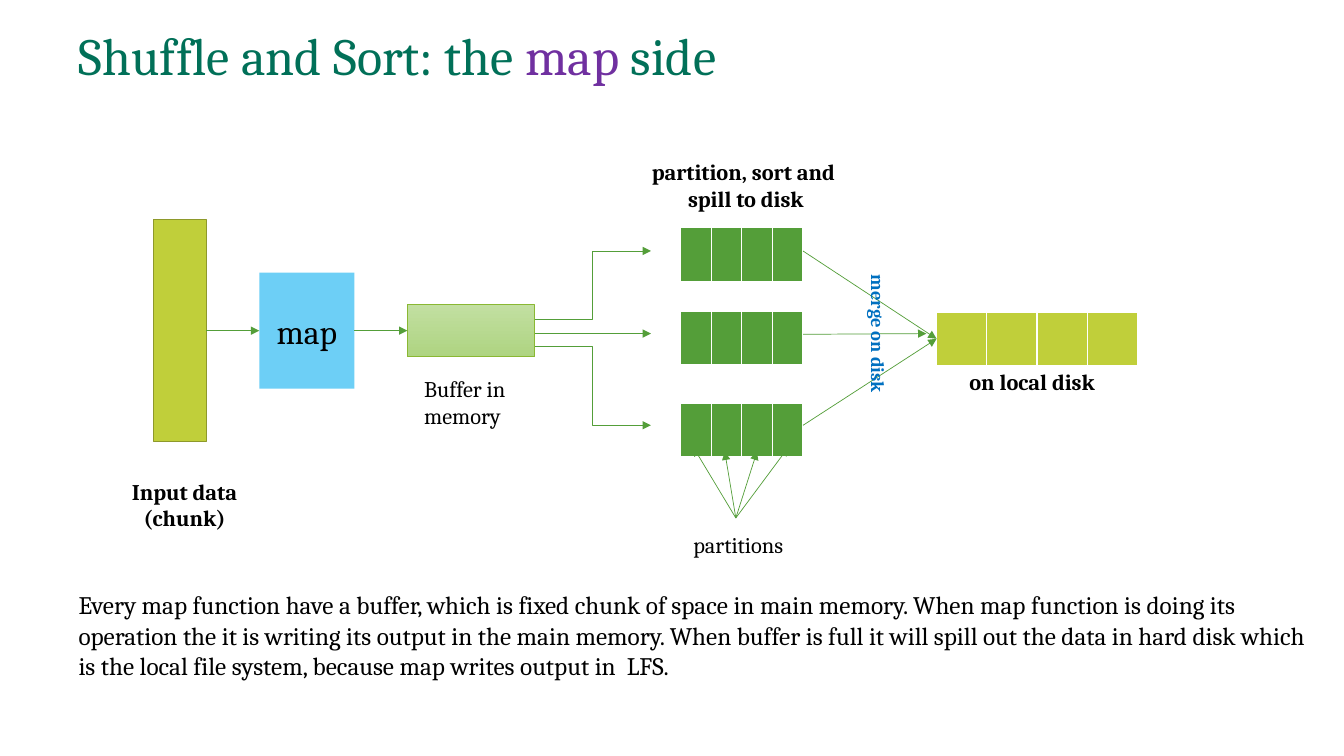
"""Build the slide that shows the map side of shuffle and sort."""
from dataclasses import dataclass

import lxml.etree
import pptx
import pptx.dml.color
import pptx.enum.shapes
import pptx.enum.text
import pptx.oxml.ns
import pptx.util

Pt = pptx.util.Pt
ALIGN = pptx.enum.text.PP_ALIGN
MIDDLE = pptx.enum.text.MSO_ANCHOR.MIDDLE
AUTO = pptx.enum.text.MSO_AUTO_SIZE
CONNECTOR = pptx.enum.shapes.MSO_CONNECTOR


@dataclass(frozen=True)
class Theme:
    """Colours, font and type sizes."""
    font: str = "Cambria"
    title: str = "017058"
    accent: str = "7030A0"
    ink: str = "000000"
    merge: str = "0070C0"
    green: str = "549E39"
    lime: str = "C0CF3A"
    lime_edge: str = "8E992B"
    sky: str = "6DCFF6"
    buffer_top: str = "C2DFA1"
    buffer_bottom: str = "AED481"
    buffer_edge: str = "8AB833"
    title_size: float = 37.3
    map_size: float = 24
    body_size: float = 18
    label_size: float = 16
    merge_size: float = 13.3


T = Theme()
SLIDE = (960, 540)
TITLE_BOX = (49, 13, 828, 57.6)
TITLE = [("Shuffle and Sort: the ", T.title), ("map", T.accent), (" side", T.title)]
BODY = (
    "Every map function have a buffer, which is fixed chunk of space in main memory. "
    "When map function is doing its operation the it is writing its output in the main "
    "memory. When buffer is full it will spill out the data in hard disk which is the "
    "local file system, because map writes output in  LFS."
)

FLOW_Y = 236.2
INPUT = (109.6, 37.8, 158.4)
MAP = (185.2, 68, 83)
BUFFER = (291, 91, 37.4)

PARTS = 4
ROW_H = 38.2
SPILL_X, SPILL_W = 486.2, 87.4
SPILL_TOPS = [162.7, 222.3, 288]
MERGED = (669, 223.2, 143.5)
BRANCH_X = (382, 465)
BRANCH_YS = [(228.2, 179.3), (238.3, 238.3), (247.7, 303.8)]
MERGES = [((573.6, 179.3), (669, 242)), ((573.6, 303.8), (669, 242)),
          ((573.6, 238.8), (661.7, 238.3))]
FAN_START = (525.6, 370)
FAN_TIPS = [(495.4, 319.7), (517.7, 322.6), (540.7, 322.6), (563, 319.7)]

LEFT, CENTER = ALIGN.LEFT, ALIGN.CENTER
LABELS = [
    ((87.1, 337.7, 103.7, 46), [("Input data", LEFT), ("(chunk)", CENTER)],
     T.label_size, T.ink, True, False, 0),
    ((295.9, 264.2, 87.1, 46), [("Buffer in memory", LEFT)],
     T.label_size, T.ink, False, True, 0),
    ((488.2, 375.8, 87.8, 26.6), [("partitions", LEFT)],
     T.label_size, T.ink, False, False, 0),
    ((446.4, 109.4, 172.8, 46), [("partition, sort and ", CENTER), ("spill to disk", CENTER)],
     T.label_size, T.ink, True, True, 0),
    ((571, 233.3, 112.3, 23.8), [("merge on disk", LEFT)],
     T.merge_size, T.merge, True, True, 90),
    ((685.4, 259.2, 120.2, 26.6), [("on local disk", LEFT)],
     T.label_size, T.ink, True, False, 0),
    ((49, 417.6, 891.4, 94.3), [(BODY, LEFT)],
     T.body_size, T.ink, False, True, 0),
]


def rgb(value):
    """Return a colour from its hex text."""
    return pptx.dml.color.RGBColor.from_string(value)


def style(r, size, color, bold=False):
    """Format one run."""
    r.font.name = T.font
    r.font.size = Pt(size)
    r.font.bold = bold
    r.font.color.rgb = rgb(color)


def add_box(s, left, width, height, fill=None, edge=None, weight=1):
    """Add a rectangle centred on the flow line."""
    sp = s.shapes.add_shape(pptx.enum.shapes.MSO_SHAPE.RECTANGLE, Pt(left),
                            Pt(FLOW_Y - height / 2), Pt(width), Pt(height))
    sp.shadow.inherit = False
    if fill:
        sp.fill.solid()
        sp.fill.fore_color.rgb = rgb(fill)
    if edge:
        sp.line.color.rgb = rgb(edge)
        sp.line.width = Pt(weight)
    else:
        sp.line.fill.background()
    return sp


def add_arrow(s, start, end, kind=CONNECTOR.STRAIGHT):
    """Add a thin green arrow."""
    c = s.shapes.add_connector(kind, *(Pt(v) for v in (*start, *end)))
    c.line.color.rgb = rgb(T.green)
    c.line.width = Pt(0.5)
    qn = pptx.oxml.ns.qn
    lxml.etree.SubElement(c.line._get_or_add_ln(), qn("a:tailEnd"), type="triangle")
    lxml.etree.SubElement(c._element.spPr, qn("a:effectLst"))
    return c


def join(s, first, second):
    """Join the right side of one box to the left side of the next."""
    c = add_arrow(s, (0, 0), (1, 1))
    c.begin_connect(first, 3)
    c.end_connect(second, 1)


def add_partitions(s, left, top, width, fill):
    """Add a one-row table of partitions."""
    table = s.shapes.add_table(1, PARTS, Pt(left), Pt(top), Pt(width), Pt(ROW_H)).table
    for cell in table.iter_cells():
        cell.fill.solid()
        cell.fill.fore_color.rgb = rgb(fill)


def add_label(s, box, lines, size, color, bold, wrap, rotation):
    """Add a text box with one paragraph per line."""
    sp = s.shapes.add_textbox(*(Pt(v) for v in box))
    sp.rotation = rotation
    tf = sp.text_frame
    tf.word_wrap = wrap
    tf.auto_size = AUTO.SHAPE_TO_FIT_TEXT
    tf.text = "\n".join(text for text, _ in lines)
    for p, (_, align) in zip(tf.paragraphs, lines):
        p.alignment = align
        style(p.runs[0], size, color, bold)


def add_title(s):
    """Place and fill the title."""
    sp = s.shapes.title
    sp.left, sp.top, sp.width, sp.height = (Pt(v) for v in TITLE_BOX)
    tf = sp.text_frame
    tf.auto_size = AUTO.NONE
    tf.vertical_anchor = MIDDLE
    p = tf.paragraphs[0]
    p.alignment = LEFT
    p.line_spacing = 0.9
    for text, color in TITLE:
        r = p.add_run()
        r.text = text
        style(r, T.title_size, color)


def main():
    """Build and save the slide."""
    prs = pptx.Presentation()
    prs.slide_width, prs.slide_height = (Pt(v) for v in SLIDE)
    s = prs.slides.add_slide(prs.slide_layouts[5])
    add_title(s)

    chunk = add_box(s, *INPUT, T.lime, T.lime_edge)
    mapper = add_box(s, *MAP, T.sky)
    tf = mapper.text_frame
    tf.text = "map"
    tf.vertical_anchor = MIDDLE
    tf.paragraphs[0].alignment = CENTER
    style(tf.paragraphs[0].runs[0], T.map_size, T.ink)
    buffer = add_box(s, *BUFFER, edge=T.buffer_edge, weight=0.5)
    buffer.fill.gradient()
    buffer.fill.gradient_angle = 270
    for stop, color in zip(buffer.fill.gradient_stops, (T.buffer_top, T.buffer_bottom)):
        stop.color.rgb = rgb(color)
    join(s, chunk, mapper)
    join(s, mapper, buffer)

    for y1, y2 in BRANCH_YS:
        kind = CONNECTOR.STRAIGHT if y1 == y2 else CONNECTOR.ELBOW
        add_arrow(s, (BRANCH_X[0], y1), (BRANCH_X[1], y2), kind)
    for top in SPILL_TOPS:
        add_partitions(s, SPILL_X, top, SPILL_W, T.green)
    add_partitions(s, *MERGED, T.lime)
    for start, end in MERGES + [(FAN_START, tip) for tip in FAN_TIPS]:
        add_arrow(s, start, end)
    for label in LABELS:
        add_label(s, *label)
    prs.save("out.pptx")


if __name__ == "__main__":
    main()
